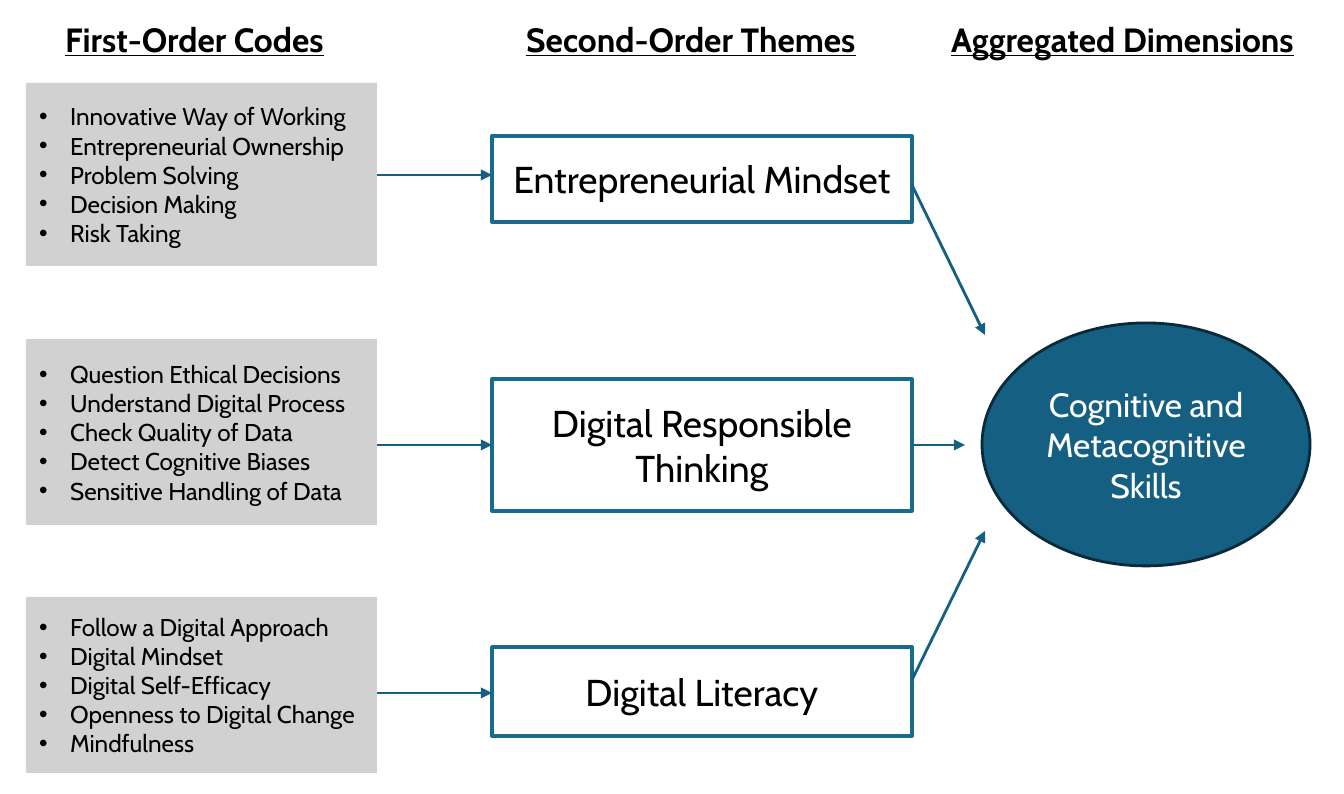
from lxml import etree
from pptx import Presentation
from pptx.dml.color import RGBColor
from pptx.enum.shapes import MSO_CONNECTOR as Connector, MSO_SHAPE as Shape
from pptx.enum.text import MSO_ANCHOR as Anchor, PP_ALIGN as Align
from pptx.oxml.ns import qn
from pptx.util import Inches, Pt

SCALE = Inches(10) / 1344
COLORS = {
    "black": "000000",
    "white": "FFFFFF",
    "gray": "D1D1D1",
    "blue": "156082",
    "border": "176B91",
    "navy": "092A39",
}
HEADINGS = [
    ("First-Order Codes", 52, 300),
    ("Second-Order Themes", 513, 375),
    ("Aggregated Dimensions", 938, 390),
]
ROWS = [
    {
        "codes": ["Innovative Way of Working", "Entrepreneurial Ownership", "Problem Solving",
                  "Decision Making", "Risk Taking"],
        "codes_span": (83, 183),
        "theme": "Entrepreneurial Mindset",
        "theme_span": (136, 86),
        "arrow_y": 175,
        "outcome_arrow": (185, 985, 335),
    },
    {
        "codes": ["Question Ethical Decisions", "Understand Digital Process", "Check Quality of Data",
                  "Detect Cognitive Biases", "Sensitive Handling of Data"],
        "codes_span": (339, 186),
        "theme": "Digital Responsible Thinking",
        "theme_span": (379, 132),
        "arrow_y": 445,
        "outcome_arrow": (445, 965, 445),
    },
    {
        "codes": ["Follow a Digital Approach", "Digital Mindset", "Digital Self-Efficacy",
                  "Openness to Digital Change", "Mindfulness"],
        "codes_span": (597, 176),
        "theme": "Digital Literacy",
        "theme_span": (647, 89),
        "arrow_y": 693,
        "outcome_arrow": (680, 985, 531),
    },
]
CODES_LEFT, CODES_WIDTH = 26, 351
THEME_LEFT, THEME_WIDTH = 492, 420


def px(length):
    return round(length * SCALE)


def rgb(name):
    return RGBColor.from_string(COLORS[name])


def add_bullet(paragraph):
    properties = paragraph._p.get_or_add_pPr()
    properties.set("marL", str(px(31)))
    properties.set("indent", str(px(-31)))
    etree.SubElement(properties, qn("a:buFont"), typeface="Arial")
    etree.SubElement(properties, qn("a:buChar"), char="•")


def write_text(frame, *lines, size, color="black", align=Align.LEFT, anchor=Anchor.MIDDLE,
               bold=False, underline=False, bullets=False, font_name="Cabin"):
    frame.word_wrap = True
    frame.vertical_anchor = anchor
    for index, line in enumerate(lines):
        paragraph = frame.add_paragraph() if index else frame.paragraphs[0]
        paragraph.alignment = align
        if bullets:
            add_bullet(paragraph)
        run = paragraph.add_run()
        run.text = line
        run.font.name = font_name
        run.font.size = Pt(size)
        run.font.bold = bold
        run.font.underline = underline
        run.font.color.rgb = rgb(color)


class Diagram:
    def __init__(self, slide):
        self.slide = slide
        self.arrow_color = "blue"
        self.arrow_width = 1.5

    def heading(self, text, left, width):
        box = self.slide.shapes.add_textbox(px(left), px(12), px(width), px(54))
        write_text(box.text_frame, text, size=18, bold=True, underline=True, anchor=Anchor.TOP)

    def block(self, kind, left, top, width, height, fill, line=None, line_width=1.5):
        shape = self.slide.shapes.add_shape(kind, px(left), px(top), px(width), px(height))
        shape.shadow.inherit = False
        shape.fill.solid()
        shape.fill.fore_color.rgb = rgb(fill)
        if line:
            shape.line.color.rgb = rgb(line)
            shape.line.width = Pt(line_width)
        else:
            shape.line.fill.background()
        return shape.text_frame

    def codes(self, lines, top, height):
        frame = self.block(Shape.RECTANGLE, CODES_LEFT, top, CODES_WIDTH, height, "gray")
        write_text(frame, *lines, size=13, bullets=True)

    def theme(self, text, top, height):
        frame = self.block(Shape.RECTANGLE, THEME_LEFT, top, THEME_WIDTH, height,
                           "white", "border", 1.75)
        write_text(frame, text, size=20, align=Align.CENTER)

    def dimension(self, text):
        frame = self.block(Shape.OVAL, 982, 323, 328, 243, "blue", "navy")
        write_text(frame, text, size=18, color="white", align=Align.CENTER)

    def arrow(self, x1, y1, x2, y2):
        connector = self.slide.shapes.add_connector(
            Connector.STRAIGHT, px(x1), px(y1), px(x2), px(y2))
        connector.line.color.rgb = rgb(self.arrow_color)
        connector.line.width = Pt(self.arrow_width)
        etree.SubElement(connector.line._get_or_add_ln(), qn("a:tailEnd"), type="triangle")
        etree.SubElement(connector._element.spPr, qn("a:effectLst"))


def main():
    presentation = Presentation()
    presentation.slide_width = px(1344)
    presentation.slide_height = px(794)
    diagram = Diagram(presentation.slides.add_slide(presentation.slide_layouts[6]))

    for heading in HEADINGS:
        diagram.heading(*heading)
    diagram.dimension("Cognitive and Metacognitive Skills")
    for row in ROWS:
        diagram.codes(row["codes"], *row["codes_span"])
        diagram.theme(row["theme"], *row["theme_span"])
        diagram.arrow(CODES_LEFT + CODES_WIDTH, row["arrow_y"], THEME_LEFT, row["arrow_y"])
        diagram.arrow(THEME_LEFT + THEME_WIDTH, *row["outcome_arrow"])

    presentation.save("out.pptx")


if __name__ == "__main__":
    main()
